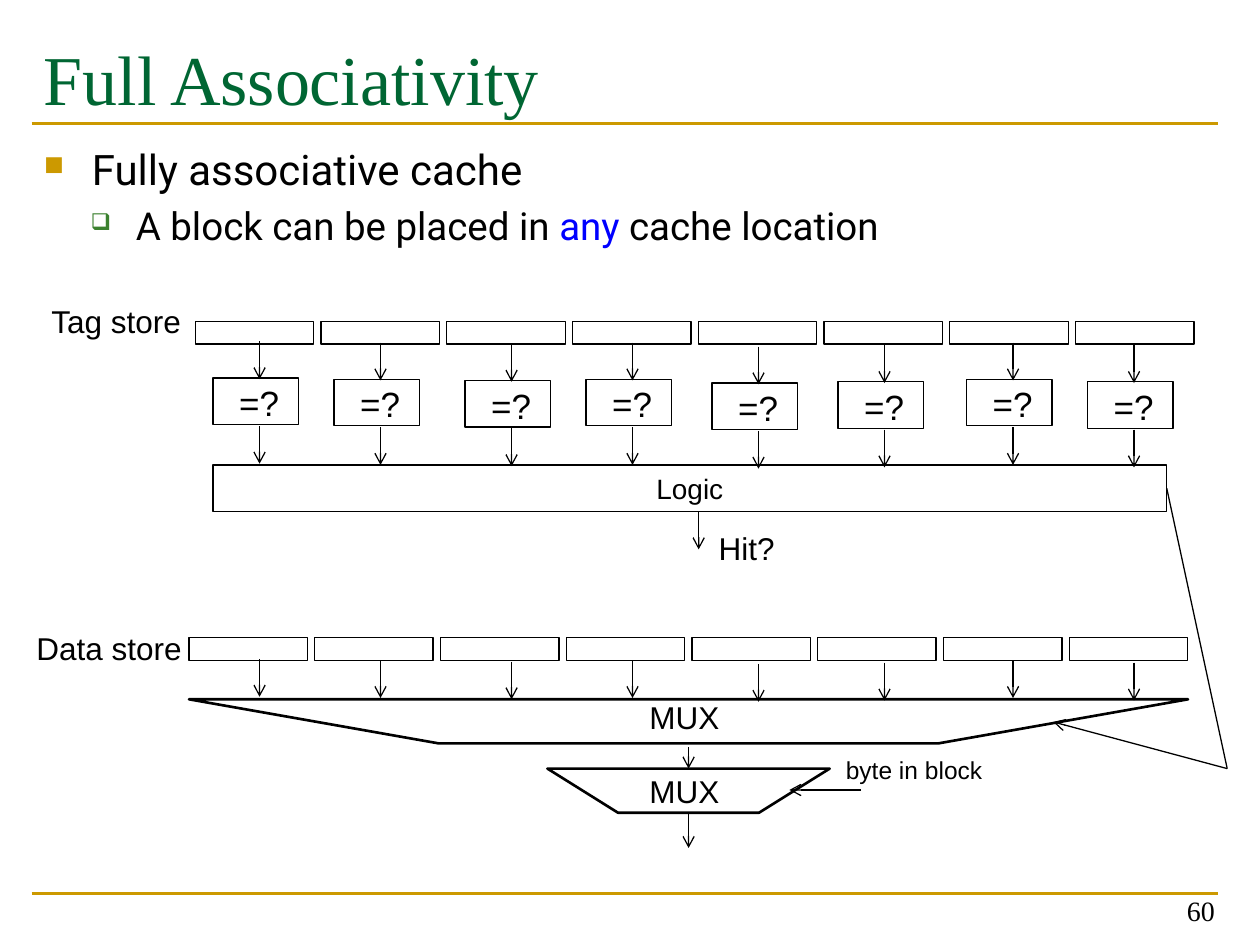
from collections import namedtuple
from lxml import etree
from pptx import Presentation
from pptx.dml.color import RGBColor
from pptx.enum.shapes import MSO_CONNECTOR as Link, MSO_SHAPE as Shape
from pptx.enum.text import MSO_ANCHOR as Anchor, PP_ALIGN as Align
from pptx.oxml.ns import qn
from pptx.util import Inches, Pt

# The slide is a grid of 100 columns by 75 rows
COLS, ROWS = 100, 75
Box = namedtuple("Box", "x y w h")
BLACK, GOLD, GREEN, BLUE = "000000", "CC9900", "006633", "0000FF"
# Centre column of each way, and how far its parts sit below the row
WAYS = [(20.6, 0), (30.2, 0.1), (40.6, 0.2), (50.2, 0.1),
        (60.2, 0.4), (70.2, 0.3), (80.4, 0.1), (90, 0.3)]
STEP = 9.98


def unit(n):
    return Inches(round(n / 10, 3))


def color(code):
    return RGBColor.from_string(code)


def style(par, size, face="Arial", code=BLACK):
    par.font.size = Pt(size)
    par.font.name = face
    par.font.color.rgb = color(code)


def label(slide, box, text, size, face="Arial", code=BLACK, wrap=False):
    frame = slide.shapes.add_textbox(*map(unit, box)).text_frame
    frame.word_wrap = wrap
    frame.text = text
    style(frame.paragraphs[0], size, face, code)
    return frame


def outline(shape, width=0.75):
    shape.shadow.inherit = False
    shape.fill.background()
    shape.line.color.rgb = color(BLACK)
    shape.line.width = Pt(width)
    return shape


def rect(slide, box):
    return outline(slide.shapes.add_shape(Shape.RECTANGLE, *map(unit, box)))


def line(slide, x1, y1, x2, y2, code=BLACK, width=0.75, head=False):
    link = slide.shapes.add_connector(
        Link.STRAIGHT, unit(x1), unit(y1), unit(x2), unit(y2))
    link.line.color.rgb = color(code)
    link.line.width = Pt(width)
    if head:
        etree.SubElement(link.line._get_or_add_ln(), qn("a:tailEnd"), type="arrow")
    etree.SubElement(link._element.spPr, qn("a:effectLst"))
    return link


def drop(slide, x, y, size=3):
    line(slide, x, y, x, y + size, head=True)


def bullet(par, mark, code, share, left, hang):
    props = par._p.get_or_add_pPr()
    props.set("marL", str(unit(left)))
    props.set("indent", str(-unit(hang)))
    tint = etree.SubElement(props, qn("a:buClr"))
    etree.SubElement(tint, qn("a:srgbClr"), val=code)
    etree.SubElement(props, qn("a:buSzPct"), val=str(share * 1000))
    etree.SubElement(props, qn("a:buChar"), char=mark)


# Title, rules and page number
def page(slide, box):
    for y in (box.y, box.y + box.h):
        line(slide, box.x, y, box.x + box.w, y, GOLD, 1.5)
    label(slide, Box(box.x, box.y - 7.5, box.w, 7.5), "Full Associativity",
          40, "Times New Roman", GREEN, True)
    foot = label(slide, Box(box.x + 71.6, box.y + box.h - 1.8, 23.3, 5),
                 "60", 16, "Times New Roman", wrap=True)
    foot.vertical_anchor = Anchor.BOTTOM
    foot.paragraphs[0].alignment = Align.RIGHT


# Bulleted text
def body(slide, box):
    frame = slide.shapes.add_textbox(*map(unit, box)).text_frame
    frame.word_wrap = True
    top = frame.paragraphs[0]
    top.text = "Fully associative cache"
    bullet(top, "■", GOLD, 65, 3.8, 3.8)
    style(top, 24, "Roboto")
    sub = frame.add_paragraph()
    sub.level = 1
    for text in ("A block can be placed in ", "any", " cache location"):
        run = sub.add_run()
        run.text = text
        run.font.color.rgb = color(BLUE if text == "any" else BLACK)
    bullet(sub, "❑", "3B812F", 60, 7.3, 3.6)
    sub.space_before = Pt(4.4)
    sub.font.size = Pt(22)
    sub.font.name = "Roboto"


# One row of eight blocks
def store(slide, box):
    for i in range(len(WAYS)):
        rect(slide, Box(box.x + i * STEP, box.y, box.w, box.h))


# Tag blocks, comparers and hit logic
def tags(slide, box):
    label(slide, Box(box.x - 12.4, box.y - 2, 12.4, 4), "Tag store", 18)
    store(slide, Box(box.x, box.y, 9.4, 1.8))
    for x, dip in WAYS:
        y = box.y + dip
        rect(slide, Box(x - 3.7, y + 4.5, 6.8, 3.7))
        label(slide, Box(x - 2.6, y + 4.3, 5.2, 4.4), "=?", 20)
        drop(slide, x, y + 1.6)
        drop(slide, x, y + 8.3)
    logic = rect(slide, Box(box.x + 1.4, box.y + 11.4, 75.7, 3.7))
    frame = logic.text_frame
    frame.text = "Logic"
    frame.vertical_anchor = Anchor.MIDDLE
    frame.paragraphs[0].alignment = Align.CENTER
    style(frame.paragraphs[0], 16)
    mid = box.x + box.w / 2
    drop(slide, mid + 0.3, box.y + box.h - 3)
    label(slide, Box(mid + 0.9, box.y + box.h - 2.1, 6.5, 4), "Hit?", 18)
    return logic


# A funnel whose sides slope in by a quarter
def funnel(slide, box):
    x, y, w, h = box
    pen = slide.shapes.build_freeform(unit(x + w), unit(y))
    pen.add_line_segments([(unit(a), unit(b)) for a, b in (
        (x + w * 0.75, y + h), (x + w / 4, y + h), (x, y))], close=True)
    outline(pen.convert_to_shape(), 1.5)


# Data blocks and the two selectors
def data(slide, box):
    label(slide, Box(box.x - 13.1, box.y - 1.2, 13.7, 4), "Data store", 18)
    store(slide, Box(box.x, box.y, 9.4, 1.8))
    for x, dip in WAYS:
        drop(slide, x, box.y + 1.7 + dip)
    mid = box.x + box.w / 2
    funnel(slide, Box(box.x, box.y + 4.9, box.w, 3.5))
    funnel(slide, Box(mid - 11.2, box.y + 10.4, 22.4, 3.5))
    for y in (4.3, 10.2):
        label(slide, Box(mid - 4.1, box.y + y, 8.9, 4), "MUX", 18, wrap=True)
    drop(slide, mid, box.y + 8.7, 1.7)
    drop(slide, mid, box.y + 13.9, 2.8)
    label(slide, Box(mid + 11.5, box.y + 8.8, 14.7, 3.4),
          "byte in block", 14, wrap=True)
    y = box.y + 12.1
    line(slide, mid + 13.7, y, mid + 8, y, head=True)


# Line from the hit logic to the wide selector
def select(slide, logic, box):
    right, low = box.x + box.w, box.y + box.h
    line(slide, box.x, box.y, right, low).begin_connect(logic, 3)
    line(slide, right, low, box.x - 9, low - 3.7, head=True)


def main():
    deck = Presentation()
    deck.slide_width, deck.slide_height = unit(COLS), unit(ROWS)
    slide = deck.slides.add_slide(deck.slide_layouts[6])
    page(slide, Box(2.5, 9.8, 94.2, 61.1))
    body(slide, Box(2.5, 10.9, 94.2, 12))
    logic = tags(slide, Box(15.5, 25.5, 79.3, 18.1))
    data(slide, Box(15, 50.6, 79.3, 16.7))
    select(slide, logic, Box(92.6, 38.8, 4.8, 22.2))
    deck.save("out.pptx")


if __name__ == "__main__":
    main()
